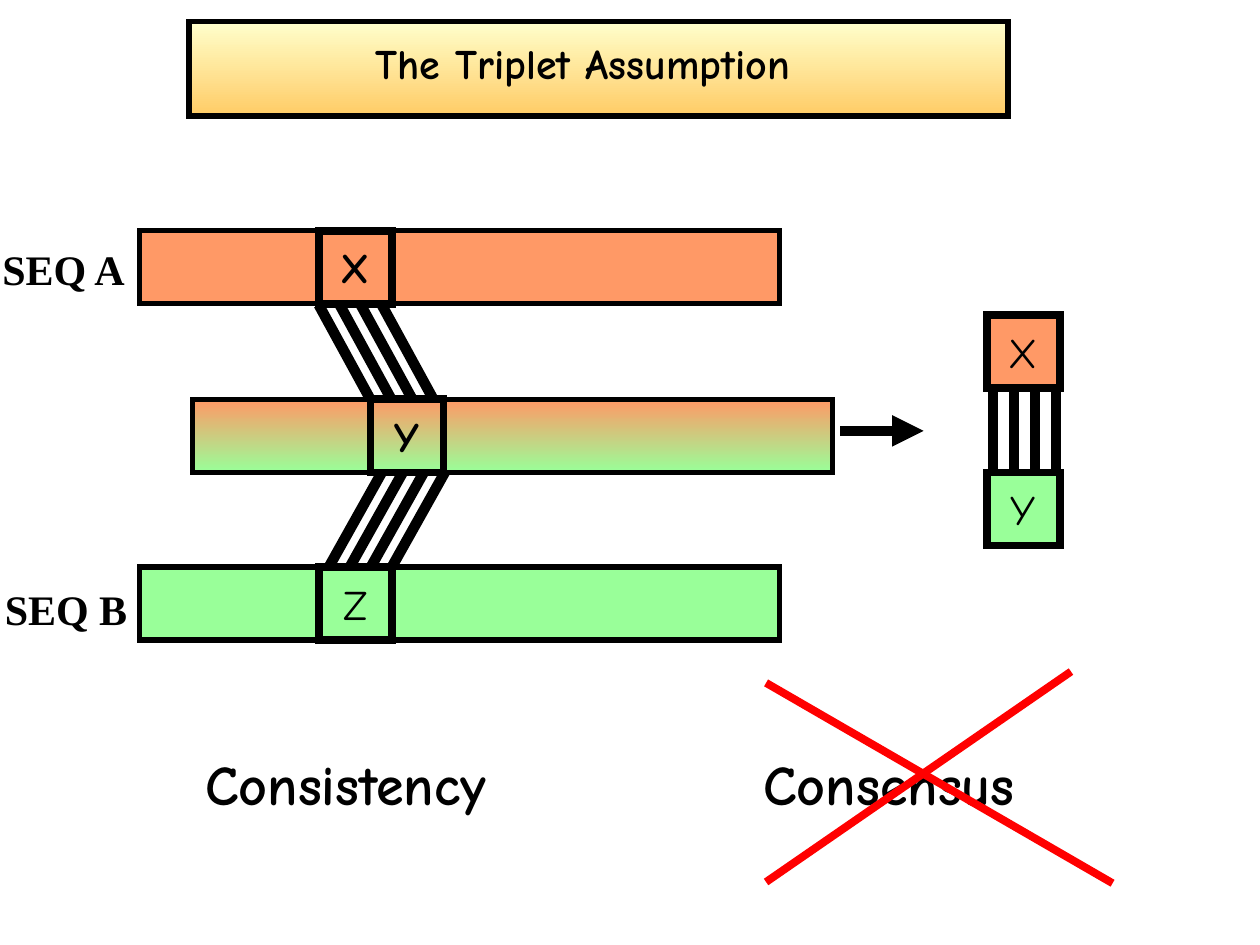
from pptx import Presentation
from pptx.dml.color import RGBColor
from pptx.enum.shapes import MSO_CONNECTOR, MSO_SHAPE
from pptx.enum.text import MSO_ANCHOR, MSO_AUTO_SIZE, PP_ALIGN
from pptx.oxml.ns import qn
from pptx.util import Inches, Pt
from lxml import etree

RECT = MSO_SHAPE.RECTANGLE
LINE = MSO_CONNECTOR.STRAIGHT
CENTER, LEFT = PP_ALIGN.CENTER, PP_ALIGN.LEFT
TOP, MIDDLE = MSO_ANCHOR.TOP, MSO_ANCHOR.MIDDLE
GROW = MSO_AUTO_SIZE.SHAPE_TO_FIT_TEXT

HEX = {"black": "000000", "red": "FF0000", "orange": "FF9966",
       "green": "99FF99", "cream": "FFFFCC", "gold": "FFCC66"}
COMIC, TIMES = "Comic Neue", "Times New Roman"
SIDE, BAR = 0.58, 5.08      # residue box side, sequence bar length
STEP, COUNT = 1 / 6, 4      # spacing and number of lines in a link

TITLE = "The Triplet Assumption"
# bar left, box left, top, fill colours, residue, bold
SEQS = [
    (1.11, 2.53, 1.83, ["orange"], "X", True),
    (1.53, 2.94, 3.17, ["orange", "green"], "Y", True),
    (1.11, 2.53, 4.5, ["green"], "Z", False),
]
# left, top, fill colours, residue
PAIR = [(7.83, 2.5, ["orange"], "X"), (7.83, 3.75, ["green"], "Y")]
# first line of each link: start x, start y, end x, end y
LINKS = [(2.53, 2.42, 2.94, 3.17), (3.03, 3.75, 2.61, 4.5),
         (7.88, 3.08, 7.88, 3.75)]
# words, place, size, font
LABELS = [
    ("SEQ A", (-0.08, 1.88, 1.19, 0.5), 24, TIMES),
    ("SEQ B", (-0.06, 4.58, 1.17, 0.5), 24, TIMES),
    ("Consistency", (1.53, 5.9, 2.44, 0.64), 32, COMIC),
]
WRONG = ("Consensus", (5.96, 5.9, 2.3, 0.64), 32, COMIC)
CROSS = [(6.08, 7, 8.5, 5.33), (6.08, 5.42, 8.83, 7.01)]
ARROW = (6.67, 3.42, 7.33, 3.42)


def rgb(name):
    return RGBColor.from_string(HEX[name])


def add_to_line(shape, tag, **values):
    etree.SubElement(shape.element.spPr.find(qn("a:ln")), qn(tag), **values)


def write(shape, text, size, font, bold=True, align=LEFT, anchor=TOP,
          wrap=False):
    frame = shape.text_frame
    frame.word_wrap = wrap
    frame.vertical_anchor = anchor
    para = frame.paragraphs[0]
    para.alignment = align
    run = para.add_run()
    run.text = text
    run.font.size, run.font.name, run.font.bold = Pt(size), font, bold
    run.font.color.rgb = rgb("black")


def add_rect(at, tints, width):
    shape = slide.shapes.add_shape(RECT, *map(Inches, at))
    shape.shadow.inherit = False
    fill = shape.fill
    if len(tints) == 1:
        fill.solid()
        fill.fore_color.rgb = rgb(tints[0])
    else:
        fill.gradient()
        fill.gradient_angle = 270
        for stop, tint in zip(fill.gradient_stops, tints):
            stop.color.rgb = rgb(tint)
    shape.line.color.rgb = rgb("black")
    shape.line.width = Pt(width)
    add_to_line(shape, "a:miter", lim="800000")
    return shape


def add_box(left, top, tints, text, bold=False):
    box = add_rect((left, top, SIDE, SIDE), tints, 4.5)
    write(box, text, 24, COMIC, bold, CENTER, MIDDLE)


def add_label(shapes, text, at, size, font):
    label = shapes.add_textbox(*map(Inches, at))
    write(label, text, size, font)
    label.text_frame.auto_size = GROW


def add_line(shapes, ends, tint="black", width=6):
    line = shapes.add_connector(LINE, *map(Inches, ends))
    line.line.color.rgb = rgb(tint)
    line.line.width = Pt(width)
    etree.SubElement(line.element.spPr, qn("a:effectLst"))
    return line


prs = Presentation()
prs.slide_width, prs.slide_height = Inches(10), Inches(7.5)
slide = prs.slides.add_slide(prs.slide_layouts[5])

# Title over its banner
banner = add_rect((1.5, 0.17, 6.5, 0.75), ["cream", "gold"], 3)
title = slide.shapes.title
title.left, title.top, title.width, title.height = map(
    Inches, (1.25, 0.25, 6.75, 0.5))
write(title, TITLE, 24, COMIC, align=CENTER, wrap=True)
banner.element.addnext(title.element)

# Sequences with their residues
for left, spot, top, tints, text, bold in SEQS:
    add_rect((left, top, BAR, SIDE), tints, 3)
    add_box(spot, top, tints, text, bold)

# Resulting pair
for item in PAIR:
    add_box(*item)

# Links between residues
for x1, y1, x2, y2 in LINKS:
    for i in range(COUNT):
        shift = i * STEP
        add_line(slide.shapes, (x1 + shift, y1, x2 + shift, y2))

# Arrow to the pair
arrow = add_line(slide.shapes, ARROW)
add_to_line(arrow, "a:tailEnd", type="triangle")

# Labels
for item in LABELS:
    add_label(slide.shapes, *item)

# Crossed-out word
group = slide.shapes.add_group_shape()
add_label(group.shapes, *WRONG)
for ends in CROSS:
    add_line(group.shapes, ends, "red", 4.5)

prs.save("out.pptx")
